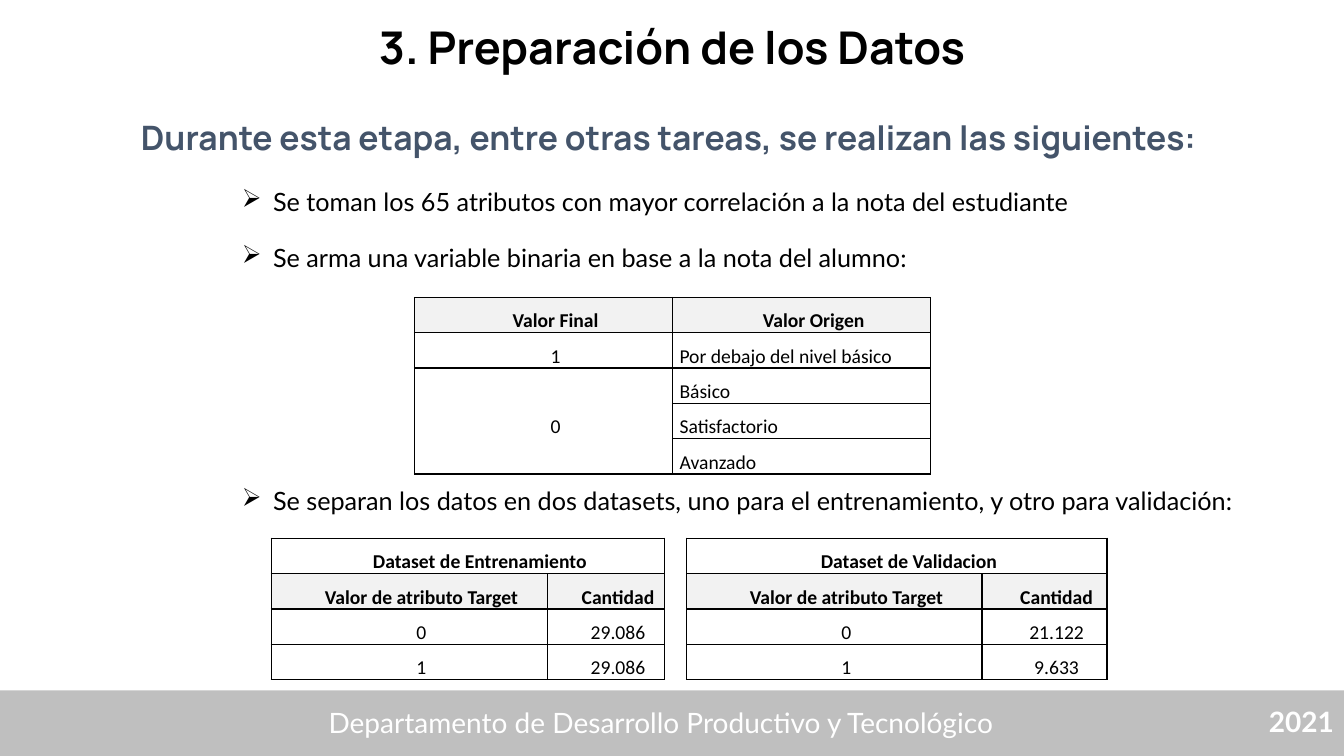
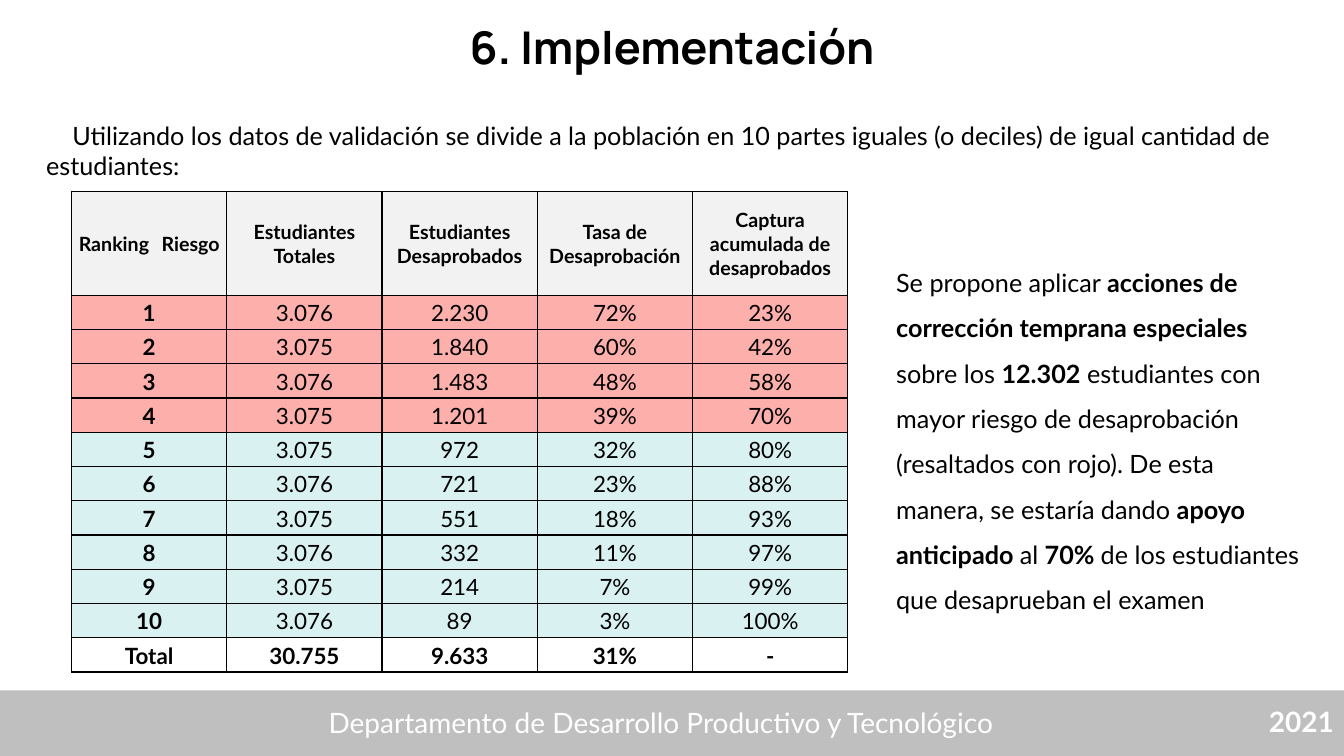
from lxml.etree import SubElement
from pptx import Presentation
from pptx.dml.color import RGBColor
from pptx.enum.shapes import MSO_SHAPE
from pptx.enum.text import MSO_ANCHOR, PP_ALIGN
from pptx.oxml.ns import qn
from pptx.util import Inches, Pt

# Shared look
BLACK, WHITE, SLATE, BAND = "000000", "FFFFFF", "44546A", "BFBFBF"
HEADER, RISK, SAFE = "F2F2F2", "FDAFAB", "D9F1F1"
LEFT, CENTER, RIGHT = PP_ALIGN.LEFT, PP_ALIGN.CENTER, PP_ALIGN.RIGHT
WIDTH, HEIGHT = 13.33, 7.5

TITLE = {"name": "Manrope", "size": Pt(32.2), "bold": True}
LEAD = {"name": "Manrope", "size": Pt(24), "bold": True}
BODY = {"name": "Lato", "size": Pt(18), "bold": False}
BOLD_BODY = {**BODY, "bold": True}
FOOTER = {"name": "Lato", "size": Pt(20), "bold": False}
SMALL_CELL = {"name": "Calibri", "size": Pt(14), "bold": False}
DECILE_HEAD = {"name": "Lato", "size": Pt(14), "bold": True}
DECILE_CELL = {"name": "Lato", "size": Pt(16), "bold": False}


def color(hex_value):
    return RGBColor.from_string(hex_value)


def set_all(target, values):
    for key, value in values.items():
        setattr(target, key, value)


def write(paragraph, runs, ink=BLACK, indent=None, **layout):
    """Fill a paragraph with (text, font values) runs; indent is (left, first line)."""
    set_all(paragraph, layout)
    if indent:
        margin, first_line = indent
        props = paragraph._p.get_or_add_pPr()
        props.set("marL", str(Inches(margin)))
        props.set("indent", str(Inches(first_line)))
    for text, font in runs:
        run = paragraph.add_run()
        run.text = text
        set_all(run.font, font)
        run.font.color.rgb = color(ink)
    return paragraph


def text_box(slide, box, anchor=MSO_ANCHOR.MIDDLE):
    frame = slide.shapes.add_textbox(*map(Inches, box)).text_frame
    set_all(frame, {"word_wrap": True, "vertical_anchor": anchor})
    return frame


def add_border(cell):
    props = cell._tc.get_or_add_tcPr()
    for side in ("lnL", "lnR", "lnT", "lnB"):
        line = SubElement(props, qn(f"a:{side}"), w=str(Pt(1)))
        fill = SubElement(line, qn("a:solidFill"))
        SubElement(fill, qn("a:srgbClr"), val=BLACK)


def add_grid(slide, corner, widths, heights, rows, margins, style, merges=()):
    """style(row, column) gives the font, fill and paragraph layout of a cell."""
    size = (sum(widths), sum(heights))
    table = slide.shapes.add_table(
        len(rows), len(widths), *map(Inches, (*corner, *size))).table
    set_all(table, {"first_row": False, "horz_banding": False})
    for column, width in zip(table.columns, widths):
        column.width = Inches(width)
    for row, height in zip(table.rows, heights):
        row.height = Inches(height)
    sides = ("margin_left", "margin_top", "margin_right", "margin_bottom")
    for r, texts in enumerate(rows):
        for c, text in enumerate(texts):
            cell = table.cell(r, c)
            set_all(cell, dict(zip(sides, map(Inches, margins))))
            cell.vertical_anchor = MSO_ANCHOR.MIDDLE
            add_border(cell)
            font, fill, layout = style(r, c)
            if fill:
                cell.fill.solid()
                cell.fill.fore_color.rgb = color(fill)
            else:
                cell.fill.background()
            if text:
                runs = [(text, font)] if isinstance(text, str) else text
                write(cell.text_frame.paragraphs[0], runs, **layout)
    for first, last in merges:
        table.cell(*first).merge(table.cell(*last))
    return table


def add_frame(prs, title):
    """New slide with the title and the footer band."""
    slide = prs.slides.add_slide(prs.slide_layouts[6])
    band = slide.shapes.add_shape(
        MSO_SHAPE.RECTANGLE, *map(Inches, (0, 6.85, WIDTH, 0.65)))
    band.shadow.inherit = False
    band.fill.solid()
    band.fill.fore_color.rgb = color(BAND)
    band.line.fill.background()
    band.text_frame.vertical_anchor = MSO_ANCHOR.MIDDLE
    write(band.text_frame.paragraphs[0], [("2021", {**FOOTER, "bold": True})],
          WHITE, alignment=RIGHT, line_spacing=0.9)
    department = text_box(slide, (-0.11, 6.95, WIDTH, 0.44))
    write(department.paragraphs[0],
          [("Departamento de Desarrollo Productivo y Tecnológico", FOOTER)],
          WHITE, alignment=CENTER)
    heading = text_box(slide, (0, 0, WIDTH, 0.93))
    write(heading.paragraphs[0], [(title, TITLE)], alignment=CENTER)
    return slide


# Slide 1: data preparation
def add_tasks(slide, box):
    frame = text_box(slide, box, MSO_ANCHOR.TOP)
    write(frame.paragraphs[0],
          [("Durante esta etapa, entre otras tareas, se realizan las siguientes:", LEAD)],
          SLATE)
    tasks = [
        ("Se toman los 65 atributos con mayor correlación a la nota del estudiante", 10),
        ("Se arma una variable binaria en base a la nota del alumno:", 0),
        ("Se separan los datos en dos datasets, uno para el entrenamiento, "
         "y otro para validación:", 133),
    ]
    for task, gap in tasks:
        paragraph = write(frame.add_paragraph(), [(task, BODY)], indent=(1.31, -0.31),
                          line_spacing=1.5, space_before=Pt(gap), space_after=Pt(8))
        SubElement(paragraph._p.get_or_add_pPr(), qn("a:buChar"), char="➢")


def add_small_table(slide, corner, widths, rows, head_row, merges, left_column=None):
    def style(r, c):
        layout = {"alignment": CENTER, "indent": (0, 0.24), "line_spacing": 1.5}
        if c == left_column and r > head_row:
            layout = {"alignment": LEFT, "line_spacing": 1.5}
        font = {**SMALL_CELL, "bold": r <= head_row}
        return font, HEADER if r == head_row else None, layout

    add_grid(slide, corner, widths, [0.35] * len(rows), rows,
             (0.07, 0, 0.07, 0), style, merges)


def add_dataset(slide, corner, widths, name, counts):
    rows = [(name, ""), ("Valor de atributo Target", "Cantidad"), *zip("01", counts)]
    add_small_table(slide, corner, widths, rows, 1, [((0, 0), (0, 1))])


def build_preparation(prs):
    slide = add_frame(prs, "3. Preparación de los Datos")
    add_tasks(slide, (1.3, 1.11, 11.9, 4.13))
    values = [("Valor Final", "Valor Origen"), ("1", "Por debajo del nivel básico"),
              ("0", "Básico"), ("", "Satisfactorio"), ("", "Avanzado")]
    add_small_table(slide, (4.11, 2.95), (2.56, 2.56), values, 0,
                    [((2, 0), (4, 0))], left_column=1)
    add_dataset(slide, (2.69, 5.34), (2.74, 1.16), "Dataset de Entrenamiento",
                ("29.086", "29.086"))
    add_dataset(slide, (6.81, 5.34), (2.93, 1.24), "Dataset de Validacion",
                ("21.122", "9.633"))


# Slide 2: implementation
DECILES = [
    ("1", "3.076", "2.230", "72%", "23%"),
    ("2", "3.075", "1.840", "60%", "42%"),
    ("3", "3.076", "1.483", "48%", "58%"),
    ("4", "3.075", "1.201", "39%", "70%"),
    ("5", "3.075", "972", "32%", "80%"),
    ("6", "3.076", "721", "23%", "88%"),
    ("7", "3.075", "551", "18%", "93%"),
    ("8", "3.076", "332", "11%", "97%"),
    ("9", "3.075", "214", "7%", "99%"),
    ("10", "3.076", "89", "3%", "100%"),
]


def add_decile_table(slide, corner):
    ranking = [(part, DECILE_HEAD) for part in ("Ranking", " ", "Riesgo")]
    heads = (ranking, "Estudiantes Totales", "Estudiantes Desaprobados",
             "Tasa de Desaprobación", "Captura acumulada de desaprobados")
    total = ("Total", "30.755", "9.633", "31%", "-")
    rows = [heads, *DECILES, total]
    last = len(rows) - 1

    def style(r, c):
        layout = {"alignment": CENTER}
        if r == 0:
            return DECILE_HEAD, HEADER, layout
        fill = None if r == last else RISK if r <= 4 else SAFE
        return {**DECILE_CELL, "bold": c == 0 or r == last}, fill, layout

    table = add_grid(slide, corner, [1.54] * 5, [1.03] + [0.34] * last, rows,
                     (0.01, 0.01, 0.01, 0), style)
    # Widen the gap between the two header words
    gap = table.cell(0, 0).text_frame.paragraphs[0].runs[1]
    gap.font._element.set("spc", "540")


def add_proposal(slide, box):
    parts = ["Se propone aplicar ", "acciones de corrección temprana especiales",
             " sobre los ", "12.302",
             " estudiantes con mayor riesgo de desaprobación (resaltados con rojo). "
             "De esta manera, se estaría dando ",
             "apoyo anticipado ", "al ", "70% ",
             "de los estudiantes que desaprueban el examen"]
    runs = [(part, BOLD_BODY if i % 2 else BODY) for i, part in enumerate(parts)]
    write(text_box(slide, box).paragraphs[0], runs, line_spacing=1.5)


def build_implementation(prs):
    slide = add_frame(prs, "6. Implementación")
    intro = text_box(slide, (0.36, 1.14, 13.13, 0.71))
    write(intro.paragraphs[0],
          [("Utilizando los datos de validación se divide a la población en 10 partes "
            "iguales (o deciles) de igual cantidad de estudiantes:", BODY)],
          indent=(0, 0.26))
    add_decile_table(slide, (0.71, 1.9))
    add_proposal(slide, (8.79, 2.46, 4.23, 3.68))


def main():
    prs = Presentation()
    set_all(prs, {"slide_width": Inches(WIDTH), "slide_height": Inches(HEIGHT)})
    build_preparation(prs)
    build_implementation(prs)
    prs.save("out.pptx")


if __name__ == "__main__":
    main()
